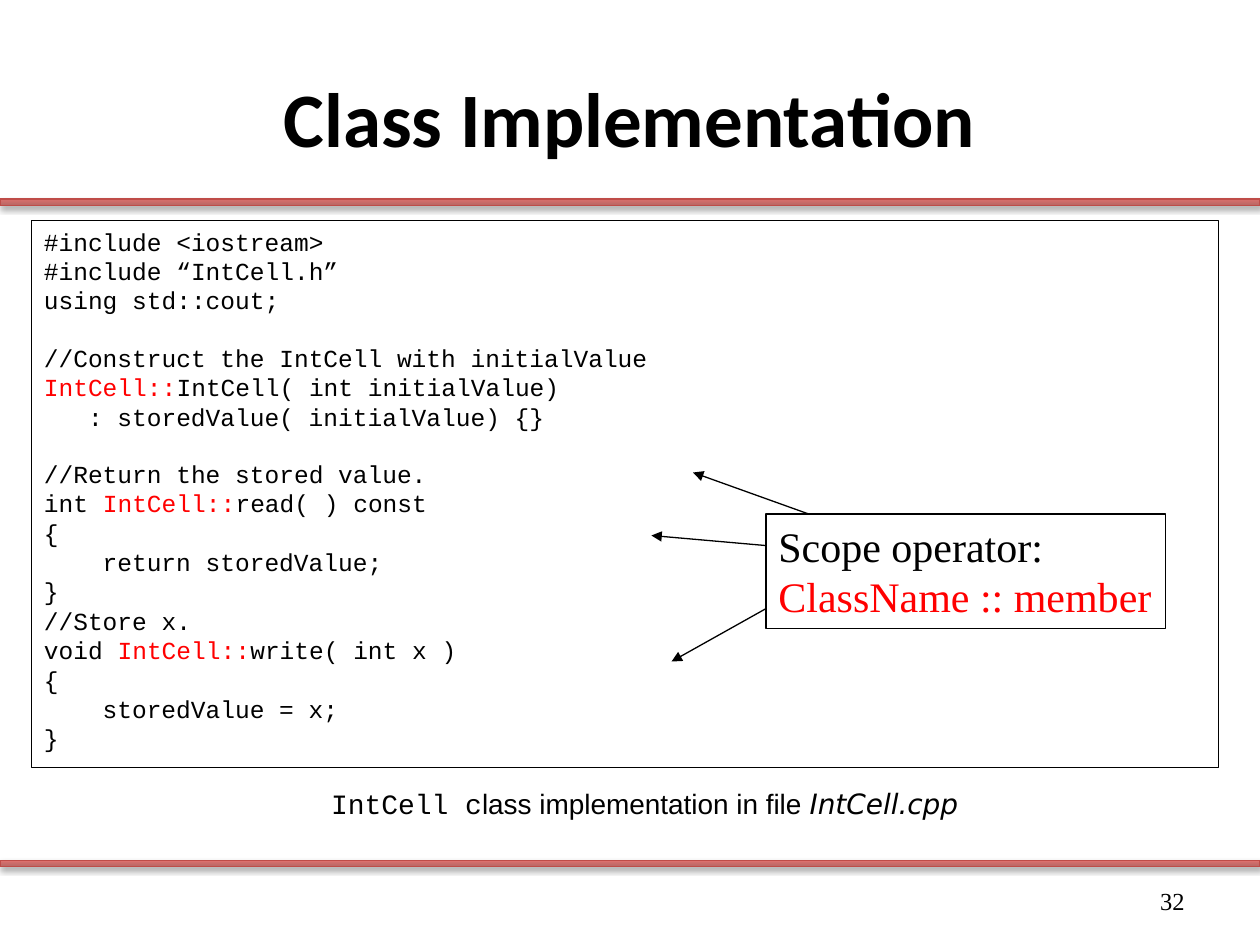
from dataclasses import dataclass
from lxml.etree import SubElement
from pptx import Presentation
from pptx.dml.color import RGBColor
from pptx.enum.shapes import MSO_CONNECTOR, MSO_SHAPE
from pptx.enum.text import MSO_ANCHOR, PP_ALIGN
from pptx.oxml.ns import qn
from pptx.util import Inches, Pt


@dataclass(frozen=True)
class Theme:
    """Colours, fonts and type sizes."""
    ink: RGBColor = RGBColor(0, 0, 0)
    paper: RGBColor = RGBColor(255, 255, 255)
    mark: RGBColor = RGBColor(255, 0, 0)
    edge: RGBColor = RGBColor(0xBF, 0x4C, 0x48)
    dark: RGBColor = RGBColor(0xB7, 0x67, 0x65)
    light: RGBColor = RGBColor(0xDB, 0x70, 0x6D)
    head: str = "Calibri"
    mono: str = "Courier New"
    sans: str = "Arial"
    name: str = "DejaVu Sans"
    serif: str = "Times New Roman"
    title: int = 44
    note: int = 24
    label: int = 16
    small: int = 14
    rule: float = 0.75


THEME = Theme()
SCOPE = "IntCell::"
CODE = [
    ["#include <iostream>", "#include “IntCell.h”", "using std::cout;"],
    ["//Construct the IntCell with initialValue",
     "IntCell::IntCell( int initialValue)", "   : storedValue( initialValue) {}"],
    ["//Return the stored value.", "int IntCell::read( ) const", "{",
     "    return storedValue;", "}", "//Store x.",
     "void IntCell::write( int x )", "{", "    storedValue = x;", "}"],
]
ARROWS = [((0.34, 0), (-0.58, -0.33)), ((0, 0.25), (-0.91, 0.17)),
          ((0, 0.75), (-0.75, 1.17))]


def style(font, face, size, color=THEME.ink):
    """Set the face, size and colour of a font."""
    font.name, font.size, font.color.rgb = face, Pt(size), color


def add_box(slide, box, fill=None):
    """Add an outlined box with left-aligned text from the top."""
    shape = slide.shapes.add_shape(MSO_SHAPE.RECTANGLE, *map(Inches, box))
    shape.shadow.inherit = False
    if fill is None:
        shape.fill.background()
    else:
        shape.fill.solid()
        shape.fill.fore_color.rgb = fill
    shape.line.color.rgb = THEME.ink
    shape.line.width = Pt(THEME.rule)
    shape.text_frame.vertical_anchor = MSO_ANCHOR.TOP
    return shape.text_frame


def add_line(frame, first):
    """Return the first paragraph or a new one, left-aligned."""
    para = frame.paragraphs[0] if first else frame.add_paragraph()
    para.alignment = PP_ALIGN.LEFT
    return para


def add_bar(slide, box):
    """Add a shaded bar with a soft shadow below it."""
    bar = slide.shapes.add_shape(MSO_SHAPE.RECTANGLE, *map(Inches, box))
    bar.fill.gradient()
    bar.fill.gradient_angle = 90
    for stop, color in zip(bar.fill.gradient_stops, (THEME.dark, THEME.light)):
        stop.color.rgb = color
    bar.line.color.rgb = THEME.edge
    bar.line.width = Pt(THEME.rule)
    bar.shadow.inherit = False
    glow = SubElement(bar._element.spPr.find(qn("a:effectLst")), qn("a:outerShdw"),
                      blurRad=str(Pt(3.1)), dist=str(Pt(1.8)), dir="5400000",
                      rotWithShape="0")
    tint = SubElement(glow, qn("a:srgbClr"), val=str(THEME.ink))
    SubElement(tint, qn("a:alpha"), val="35000")


def add_title(slide, box, text):
    """Place and format the title."""
    title = slide.shapes.title
    title.left, title.top, title.width, title.height = map(Inches, box)
    title.text_frame.text = text
    title.text_frame.vertical_anchor = MSO_ANCHOR.MIDDLE
    para = title.text_frame.paragraphs[0]
    para.alignment = PP_ALIGN.CENTER
    style(para.font, THEME.head, THEME.title)
    para.font.bold = True


def add_code(slide, box):
    """Add the code listing with its scope prefixes marked."""
    frame = add_box(slide, box, THEME.paper)
    for part, block in enumerate(CODE):
        for row, text in enumerate(block):
            para = add_line(frame, part + row == 0)
            style(para.font, THEME.mono, THEME.small)
            if part and not row:
                para.space_before = Pt(15.86)
            body = text.lstrip()
            depth = len(text) - len(body)
            if depth:
                indent = Pt(depth * THEME.small * 0.6)
                para._p.get_or_add_pPr().set("marL", str(indent))
            before, scope, after = body.partition(SCOPE)
            for piece in filter(None, (before, scope, after)):
                run = para.add_run()
                run.text = piece
                if piece == SCOPE:
                    run.font.color.rgb = THEME.mark


def add_caption(slide, box):
    """Add the caption that names the file."""
    frame = slide.shapes.add_textbox(*map(Inches, box)).text_frame
    frame.word_wrap = False
    para = add_line(frame, True)
    for text, face in (("IntCell c", THEME.mono),
                       ("lass implementation in file ", THEME.sans),
                       ("IntCell.cpp", THEME.name)):
        run = para.add_run()
        run.text = text
        style(run.font, face, THEME.label)
        run.font.italic = face == THEME.name


def add_arrow(slide, start, end):
    """Add a line with an arrowhead at its end."""
    line = slide.shapes.add_connector(MSO_CONNECTOR.STRAIGHT,
                                      *map(Inches, start + end))
    line.line.color.rgb = THEME.ink
    line.line.width = Pt(THEME.rule)
    SubElement(line.line._get_or_add_ln(), qn("a:tailEnd"), type="triangle")
    SubElement(line._element.spPr, qn("a:effectLst"))


def add_callout(slide, box):
    """Add the scope note and its arrows into the code."""
    frame = add_box(slide, box)
    frame.word_wrap = False
    lines = ("Scope operator:", THEME.ink), ("ClassName :: member", THEME.mark)
    for row, (text, color) in enumerate(lines):
        para = add_line(frame, row == 0)
        para.text = text
        style(para.font, THEME.serif, THEME.note, color)
    left, top = box[:2]
    for ends in ARROWS:
        add_arrow(slide, *((left + x, top + y) for x, y in ends))


def add_number(slide, box, text):
    """Add the page number."""
    frame = slide.shapes.add_textbox(*map(Inches, box)).text_frame
    frame.word_wrap = True
    frame.vertical_anchor = MSO_ANCHOR.MIDDLE
    para = frame.paragraphs[0]
    para.text = text
    para.alignment = PP_ALIGN.RIGHT
    style(para.font, THEME.serif, THEME.small)


def main():
    """Build and save the slide."""
    deck = Presentation()
    deck.slide_width, deck.slide_height = Inches(10), Inches(7.5)
    slide = deck.slides.add_slide(deck.slide_layouts[5])
    for top in (6.83, 1.58):
        add_bar(slide, (0, top, 10, 0.05))
    add_title(slide, (0.5, 0.3, 9, 1.25), "Class Implementation")
    add_number(slide, (7.17, 6.95, 2.33, 0.4), "32")
    add_code(slide, (0.25, 1.75, 9.42, 4.34))
    add_caption(slide, (2.53, 6.19, 5.28, 0.4))
    add_callout(slide, (6.08, 4.08, 3.17, 0.91))
    deck.save("out.pptx")


if __name__ == "__main__":
    main()
